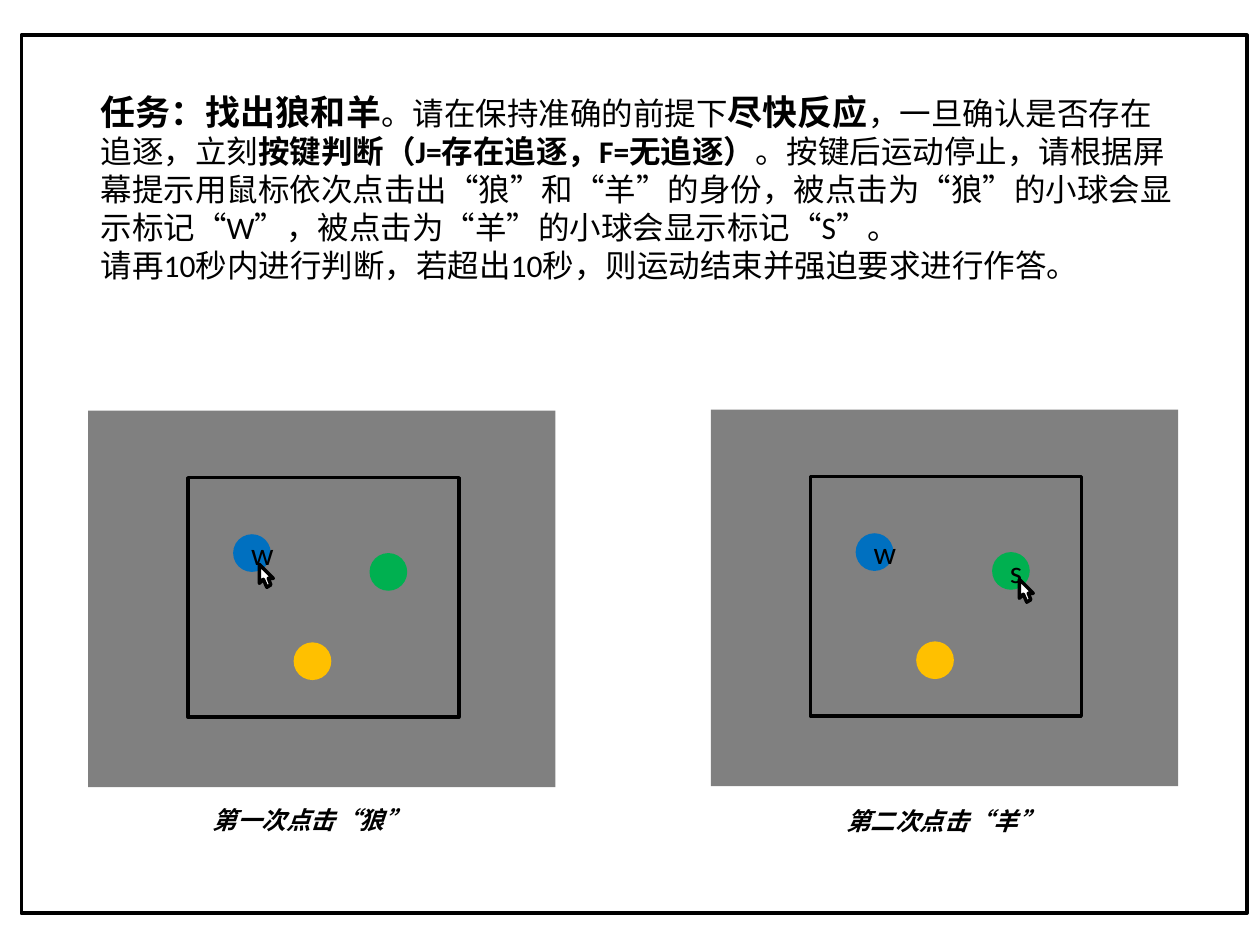
from typing import NamedTuple, Optional

from pptx import Presentation
from pptx import util as u
from pptx.dml.color import RGBColor
from pptx.enum import shapes, text

Cm = u.Cm
BLACK, WHITE, GREY = "000000", "FFFFFF", "808080"
BLUE, AMBER, GREEN = "0070C0", "FFC000", "00B050"
BALL_SIZE = 0.76


class Span(NamedTuple):
    words: str
    size: int = 18
    bold: bool = False


class Ball(NamedTuple):
    left: float
    top: float
    colour: str


class Panel(NamedTuple):
    left: float
    top: float
    marks: dict[str, str]  # ball colour -> letter
    cursor: tuple[float, float]  # tip, measured from the panel corner
    caption: str
    caption_at: tuple[float, float]


INSTRUCTIONS = [
    [
        Span("任务：找出狼和羊", 20, True),
        Span("。请在保持准确的前提下"),
        Span("尽快反应", 20, True),
        Span("，一旦确认是否存在追逐，立刻"),
        Span("按键判断（J=存在追逐，F=无追逐）", bold=True),
        Span("。按键后运动停止，请根据屏幕提示用鼠标依次点击出“狼”和“羊”的身份，"
             "被点击为“狼”的小球会显示标记“W”，被点击为“羊”的小球会显示标记“S”。"),
    ],
    [Span("请再10秒内进行判断，若超出10秒，则运动结束并强迫要求进行作答。")],
]
BALLS = [Ball(2.92, 2.49, BLUE), Ball(4.14, 4.67, AMBER), Ball(5.67, 2.87, GREEN)]
PANELS = [
    Panel(1.78, 8.28, {BLUE: "w"}, (3.45, 3.1), "第一次点击“狼”", (4.04, 16.1)),
    Panel(14.33, 8.26, {BLUE: "w", GREEN: "s"}, (6.22, 3.42),
          "第二次点击“羊”", (16.81, 16.13)),
]
CURSOR = [(0, 0), (0.28, 0.28), (0.18, 0.28), (0.23, 0.41),
          (0.15, 0.46), (0.08, 0.3), (0, 0.38)]


def colour(code: str) -> RGBColor:
    return RGBColor.from_string(code)


def style_shape(shape, fill: Optional[str], line: Optional[str]) -> None:
    shape.shadow.inherit = False
    if fill:
        shape.fill.solid()
        shape.fill.fore_color.rgb = colour(fill)
    else:
        shape.fill.background()
    if line:
        shape.line.color.rgb = colour(line)
        shape.line.width = u.Pt(2)
    else:
        shape.line.fill.background()


def style_span(span, size: int, bold: bool = False, italic: bool = False) -> None:
    font = span.font
    font.name, font.size = "Calibri", u.Pt(size)
    font.bold, font.italic = bold, italic
    font.color.rgb = colour(BLACK)


def add_shape(page, kind, left: float, top: float, width: float, height: float,
              fill: Optional[str] = None, line: Optional[str] = None):
    shape = page.shapes.add_shape(kind, Cm(left), Cm(top), Cm(width), Cm(height))
    style_shape(shape, fill, line)
    return shape


def add_text_box(page, left: float, top: float, width: float, height: float, wrap: bool):
    box = page.shapes.add_textbox(Cm(left), Cm(top), Cm(width), Cm(height))
    box.text_frame.word_wrap = wrap
    box.text_frame.auto_size = text.MSO_AUTO_SIZE.SHAPE_TO_FIT_TEXT
    return box


def add_cursor(page, left: float, top: float) -> None:
    points = [(Cm(left + x), Cm(top + y)) for x, y in CURSOR]
    builder = page.shapes.build_freeform(*points[0])
    builder.add_line_segments(points[1:], close=True)
    style_shape(builder.convert_to_shape(), WHITE, BLACK)


def add_panel(page, panel: Panel) -> None:
    left, top = panel.left, panel.top
    rectangle, oval = shapes.MSO_SHAPE.RECTANGLE, shapes.MSO_SHAPE.OVAL
    add_shape(page, rectangle, left, top, 9.42, 7.59, fill=GREY)
    add_shape(page, rectangle, left + 2.01, top + 1.35, 5.46, 4.83, line=BLACK)
    for ball in BALLS:
        disc = add_shape(page, oval, left + ball.left, top + ball.top,
                         BALL_SIZE, BALL_SIZE, fill=ball.colour)
        if ball.colour in panel.marks:
            disc.text_frame.text = panel.marks[ball.colour]
            disc.text_frame.vertical_anchor = text.MSO_ANCHOR.MIDDLE
            para = disc.text_frame.paragraphs[0]
            para.alignment = text.PP_ALIGN.CENTER
            style_span(para.runs[0], 18)
    add_cursor(page, left + panel.cursor[0], top + panel.cursor[1])

    box = add_text_box(page, *panel.caption_at, 4.5, 0.86, wrap=False)
    box.text_frame.text = panel.caption
    style_span(box.text_frame.paragraphs[0].runs[0], 14, bold=True, italic=True)


def add_instructions(page) -> None:
    frame = add_text_box(page, 1.78, 1.7, 22.28, 4.19, wrap=True).text_frame
    frame.text = "\n".join("" for _ in INSTRUCTIONS)
    for para, spans in zip(frame.paragraphs, INSTRUCTIONS):
        for item in spans:
            span = para.add_run()
            span.text = item.words
            style_span(span, item.size, item.bold)


def main() -> None:
    deck = Presentation()
    deck.slide_width, deck.slide_height = Cm(25.4), Cm(19.05)
    page = deck.slides.add_slide(deck.slide_layouts[6])

    # Outer frame and task text
    frame = add_shape(page, shapes.MSO_SHAPE.ROUNDED_RECTANGLE,
                      0.43, 0.71, 24.71, 17.7, line=BLACK)
    frame.adjustments[0] = 0
    add_instructions(page)

    # The two click steps
    for panel in PANELS:
        add_panel(page, panel)

    deck.save("out.pptx")


if __name__ == "__main__":
    main()
